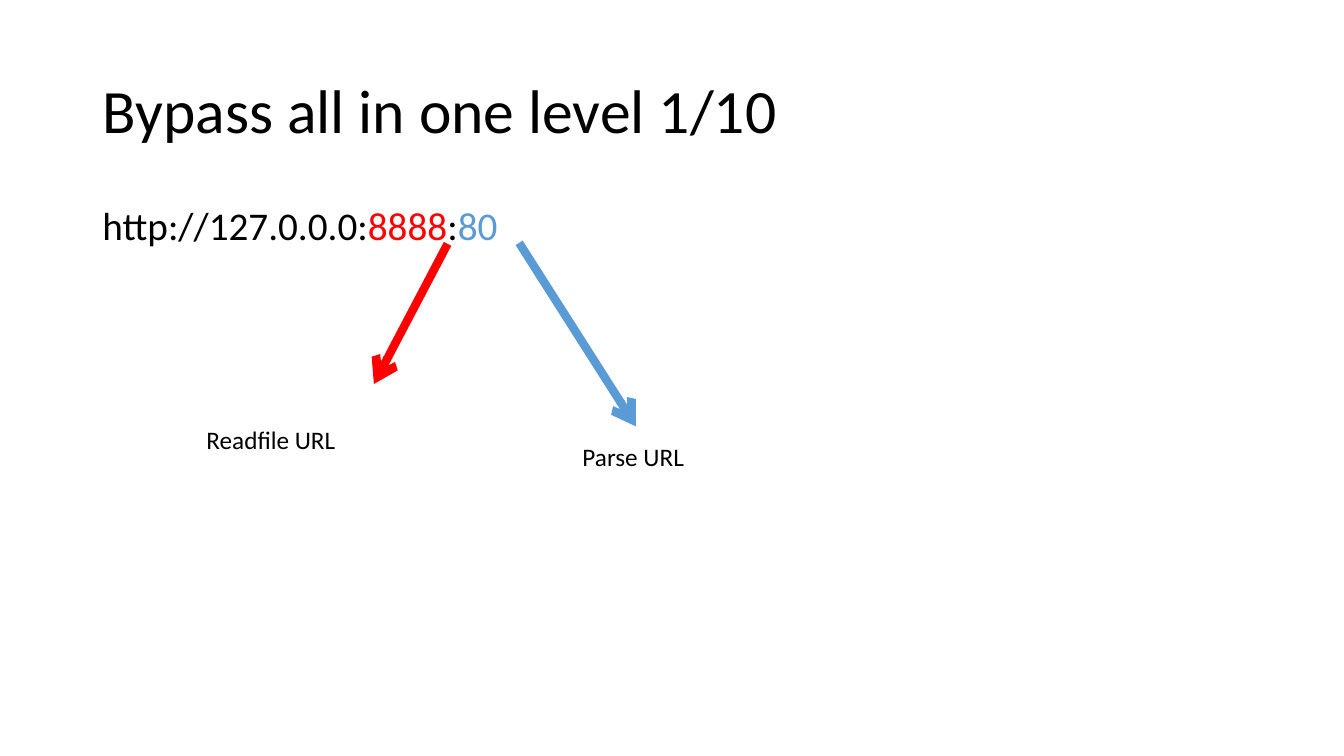
from dataclasses import dataclass

from lxml.etree import SubElement
from pptx import Presentation
from pptx.dml.color import RGBColor
from pptx.enum.shapes import MSO_CONNECTOR
from pptx.enum.text import MSO_ANCHOR, MSO_AUTO_SIZE, PP_ALIGN
from pptx.oxml.ns import qn
from pptx.util import Pt


@dataclass(frozen=True)
class Theme:
    font: str = "Calibri"
    text: str = "000000"
    readfile: str = "FF0000"
    parser: str = "5B9BD5"
    title_size: float = 44
    body_size: float = 28
    label_size: float = 18
    arrow_width: float = 6


THEME = Theme()


def place(shape, box):
    shape.left, shape.top, shape.width, shape.height = map(Pt, box)


def write_text(shape, runs, *, size, anchor=MSO_ANCHOR.TOP, line_spacing=1.0, space_before=0):
    """Write (text, colour) runs as one left-aligned paragraph."""
    frame = shape.text_frame
    frame.word_wrap = True
    frame.auto_size = MSO_AUTO_SIZE.NONE
    frame.vertical_anchor = anchor
    paragraph = frame.paragraphs[0]
    paragraph.alignment = PP_ALIGN.LEFT
    paragraph.line_spacing = line_spacing
    paragraph.space_before = Pt(space_before)
    for text, color in runs:
        run = paragraph.add_run()
        run.text = text
        run.font.name = THEME.font
        run.font.size = Pt(size)
        run.font.color.rgb = RGBColor.from_string(color)
    return paragraph


def add_title(slide, box, text):
    title = slide.shapes.title
    place(title, box)
    write_text(title, [(text, THEME.text)], size=THEME.title_size,
               anchor=MSO_ANCHOR.MIDDLE, line_spacing=0.9)


def add_url(slide, box, runs):
    body = slide.placeholders[1]
    place(body, box)
    paragraph = write_text(body, runs, size=THEME.body_size,
                           line_spacing=0.9, space_before=10)
    # Plain line without bullet or indent
    properties = paragraph._p.get_or_add_pPr()
    properties.set("marL", "0")
    properties.set("indent", "0")
    SubElement(properties, qn("a:buNone"))


def add_arrow(slide, start, end, color):
    points = [Pt(value) for value in (*start, *end)]
    arrow = slide.shapes.add_connector(MSO_CONNECTOR.STRAIGHT, *points)
    arrow.line.color.rgb = RGBColor.from_string(color)
    arrow.line.width = Pt(THEME.arrow_width)
    SubElement(arrow.line._get_or_add_ln(), qn("a:tailEnd"), type="arrow")
    SubElement(arrow._element.spPr, qn("a:effectLst"))


def add_callout(slide, box, text, *, start, end, color):
    """Add a label in the box; arrow ends are offsets from its top left corner."""
    left, top = box[:2]
    start, end = [(left + x, top + y) for x, y in (start, end)]
    add_arrow(slide, start, end, color)
    label = slide.shapes.add_textbox(*map(Pt, box))
    write_text(label, [(text, THEME.text)], size=THEME.label_size)


def build_slide(presentation):
    slide = presentation.slides.add_slide(presentation.slide_layouts[1])

    # Title and the URL with its two ports
    add_title(slide, (66, 28.8, 828, 104.4), "Bypass all in one level 1/10")
    add_url(slide, (66, 144, 828, 342.7), [
        ("http://127.0.0.0:", THEME.text),
        ("8888", THEME.readfile),
        (":", THEME.text),
        ("80", THEME.parser),
    ])

    # Which function reads which port
    add_callout(slide, (140.4, 299.5, 190, 29), "Readfile URL",
                start=(179.3, -125.3), end=(126.7, -25.2), color=THEME.readfile)
    add_callout(slide, (409, 311.8, 275.8, 29), "Parse URL",
                start=(-38.2, -138.3), end=(45.3, -7.2), color=THEME.parser)


def main():
    presentation = Presentation()
    presentation.slide_width, presentation.slide_height = Pt(960), Pt(540)
    build_slide(presentation)
    presentation.save("out.pptx")


if __name__ == "__main__":
    main()
